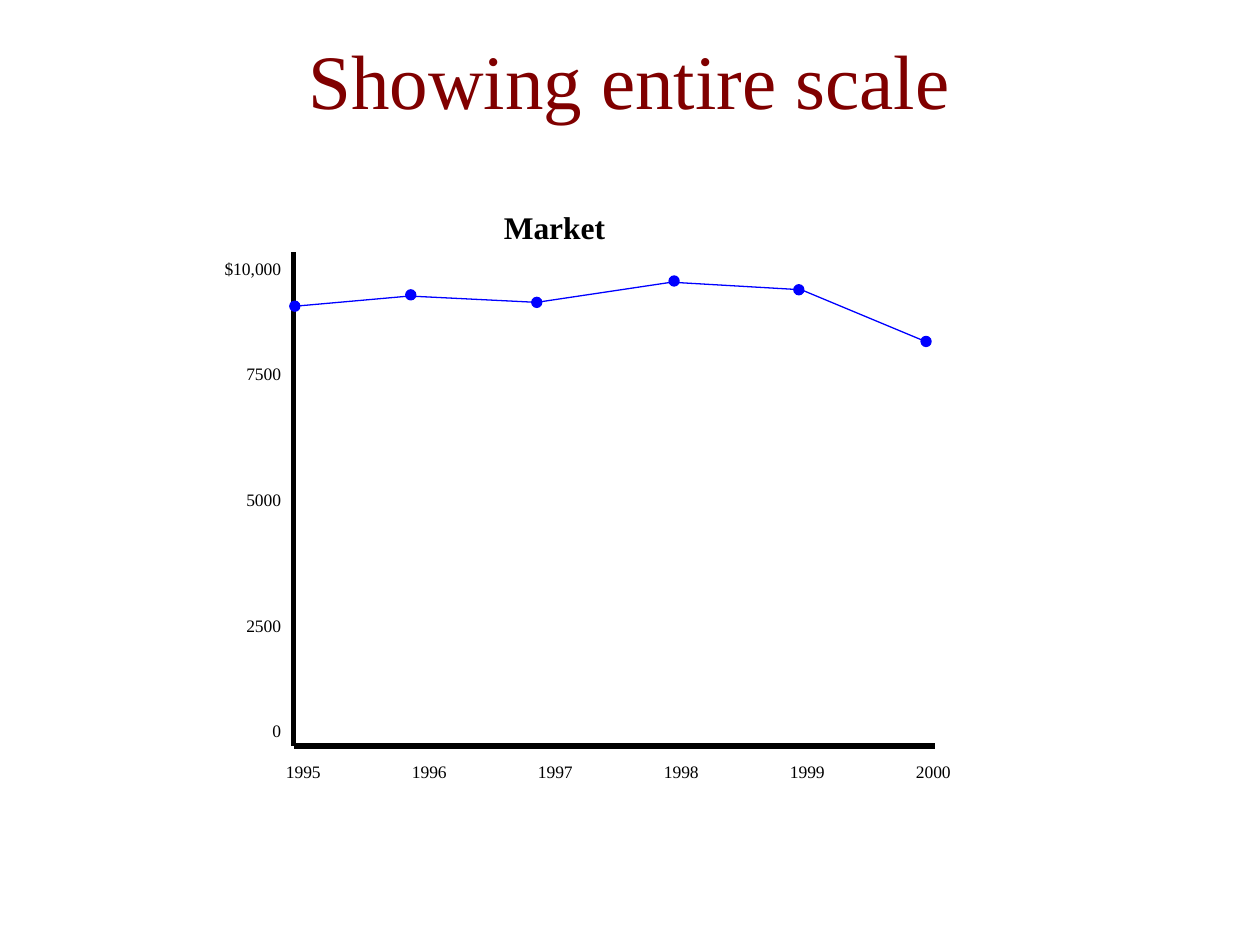
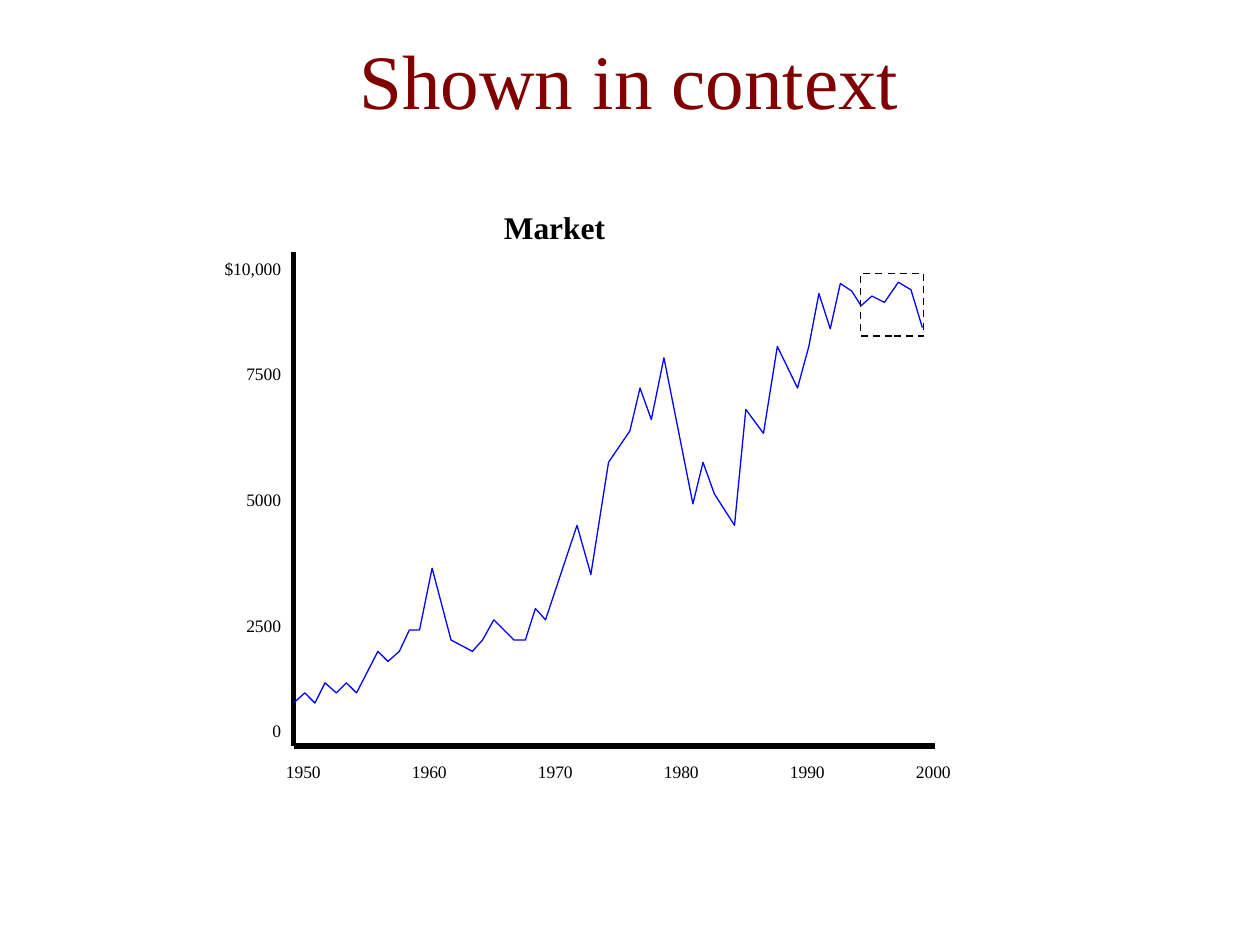
"""Builds two slides that show one market line on its entire scale and in its longer context."""
from lxml import etree
from pptx import Presentation
from pptx.dml.color import RGBColor
from pptx.enum.dml import MSO_LINE
from pptx.enum.shapes import MSO_CONNECTOR, MSO_SHAPE
from pptx.enum.text import MSO_ANCHOR, MSO_AUTO_SIZE, PP_ALIGN
from pptx.oxml.ns import qn
from pptx.util import Inches, Pt

LEFT, CENTER, RIGHT = PP_ALIGN.LEFT, PP_ALIGN.CENTER, PP_ALIGN.RIGHT
MIDDLE = MSO_ANCHOR.MIDDLE
NO_FIT, FIT_SHAPE = MSO_AUTO_SIZE.NONE, MSO_AUTO_SIZE.SHAPE_TO_FIT_TEXT
STRAIGHT = MSO_CONNECTOR.STRAIGHT
OVAL, RECTANGLE = MSO_SHAPE.OVAL, MSO_SHAPE.RECTANGLE
DASH = MSO_LINE.DASH
FONT = "Times New Roman"
MAROON, BLACK, BLUE = "800000", "000000", "0000FF"

AXIS_LEFT, AXIS_TOP, AXIS_RIGHT, AXIS_BOTTOM = 2.33, 2, 7.42, 5.92
LINE_HEIGHT = 12
DOT_SIZE = 0.08
SCALE_LABELS = [("$10,000", 0), ("7500", 4), ("5000", 5), ("2500", 5), ("0", 4)]

RECENT_YEARS = [(2.35, 2.43), (3.25, 2.35), (4.26, 2.4), (5.33, 2.24), (6.36, 2.3), (7.32, 2.7)]
RECENT_DOTS = [(2.3, 2.39), (3.22, 2.3), (4.22, 2.36), (5.31, 2.19), (6.3, 2.26), (7.31, 2.67)]
EARLIER_DECADES = [
    (2.33, 5.58), (2.42, 5.5), (2.5, 5.58), (2.58, 5.42), (2.67, 5.5), (2.75, 5.42),
    (2.83, 5.5), (3, 5.17), (3.08, 5.25), (3.17, 5.17), (3.25, 5), (3.33, 5),
    (3.43, 4.51), (3.58, 5.08), (3.75, 5.17), (3.83, 5.08), (3.92, 4.92), (4.08, 5.08),
    (4.17, 5.08), (4.25, 4.83), (4.33, 4.92), (4.58, 4.17), (4.69, 4.56), (4.83, 3.67),
    (5, 3.42), (5.08, 3.08), (5.17, 3.33), (5.27, 2.84), (5.5, 4), (5.58, 3.67),
    (5.67, 3.92), (5.83, 4.17), (5.92, 3.25), (6.06, 3.44), (6.17, 2.75), (6.33, 3.08),
    (6.42, 2.75), (6.5, 2.33), (6.59, 2.61), (6.67, 2.25), (6.76, 2.31), (6.83, 2.42),
]
LATEST_YEARS = [(6.83, 2.43), (6.92, 2.35), (7.02, 2.4), (7.13, 2.24), (7.23, 2.3), (7.32, 2.6)]

SLIDES = [
    {"title": "Showing entire scale", "years": range(1995, 2001),
     "curves": [RECENT_YEARS], "dots": RECENT_DOTS, "frames": []},
    {"title": "Shown in context", "years": range(1950, 2001, 10),
     "curves": [EARLIER_DECADES, LATEST_YEARS], "dots": [], "frames": [(6.83, 2.17, 0.5, 0.5)]},
]


def write(para, text, size=10, color=BLACK, bold=False, align=LEFT, before=0, tabs=()):
    """Put formatted text, with optional tab stops in inches, into a paragraph."""
    para.alignment = align
    if before:
        para.space_before = Pt(before)
    if tabs:
        tab_list = etree.SubElement(para._p.get_or_add_pPr(), qn("a:tabLst"))
        for tab in tabs:
            etree.SubElement(tab_list, qn("a:tab"), pos=str(Inches(tab)), algn="l")
    span = para.add_run()
    span.text = text
    span.font.name = FONT
    span.font.size = Pt(size)
    span.font.bold = bold
    span.font.color.rgb = RGBColor.from_string(color)


def paint(shape, line_color, width=0.75, fill=None):
    """Give a shape or connector its line and fill, and no shadow."""
    shape.line.color.rgb = RGBColor.from_string(line_color)
    shape.line.width = Pt(width)
    if hasattr(shape, "shadow"):
        shape.shadow.inherit = False
    else:
        etree.SubElement(shape._element.spPr, qn("a:effectLst"))
    if fill:
        shape.fill.solid()
        shape.fill.fore_color.rgb = RGBColor.from_string(fill)
    elif hasattr(shape, "fill"):
        shape.fill.background()


deck = Presentation()
deck.slide_width, deck.slide_height = Inches(10), Inches(7.5)
title_only = deck.slide_layouts[5]

for content in SLIDES:
    page = deck.slides.add_slide(title_only)
    title = page.shapes.title
    title.left, title.top, title.width, title.height = map(Inches, (0.08, 0, 9.83, 1.25))
    title.text_frame.auto_size = NO_FIT
    title.text_frame.vertical_anchor = MIDDLE
    write(title.text_frame.paragraphs[0], content["title"], size=44, color=MAROON, align=CENTER)

    for end in [(AXIS_LEFT, AXIS_TOP), (AXIS_RIGHT, AXIS_BOTTOM)]:
        axis = page.shapes.add_connector(
            STRAIGHT, *map(Inches, (AXIS_LEFT, AXIS_BOTTOM, *end)))
        paint(axis, BLACK, width=3)

    for curve in content["curves"]:
        points = [(Inches(x), Inches(y)) for x, y in curve]
        builder = page.shapes.build_freeform(*points[0])
        builder.add_line_segments(points[1:], close=False)
        paint(builder.convert_to_shape(), BLUE)

    for left, top in content["dots"]:
        dot = page.shapes.add_shape(OVAL, *map(Inches, (left, top, DOT_SIZE, DOT_SIZE)))
        paint(dot, BLUE, fill=BLUE)

    for place in content["frames"]:
        frame = page.shapes.add_shape(RECTANGLE, *map(Inches, place))
        paint(frame, BLACK, width=1)
        frame.line.dash_style = DASH

    scale_box = page.shapes.add_textbox(*map(Inches, (1.68, 2, 0.65, 3.94)))
    heading_box = page.shapes.add_textbox(*map(Inches, (3.9, 1.6, 1.05, 0.4)))
    years_box = page.shapes.add_textbox(*map(Inches, (2.17, 5.99, 5.55, 0.27)))
    for box in (scale_box, heading_box, years_box):
        box.text_frame.word_wrap = box is not scale_box
        box.text_frame.auto_size = FIT_SHAPE

    for label, empty_lines in SCALE_LABELS:
        body = scale_box.text_frame
        para = body.add_paragraph() if empty_lines else body.paragraphs[0]
        write(para, label, align=RIGHT, before=empty_lines * LINE_HEIGHT)
    write(heading_box.text_frame.paragraphs[0], "Market", size=18, bold=True)
    write(years_box.text_frame.paragraphs[0], "\t".join(map(str, content["years"])),
          tabs=range(1, len(content["years"])))

deck.save("out.pptx")
